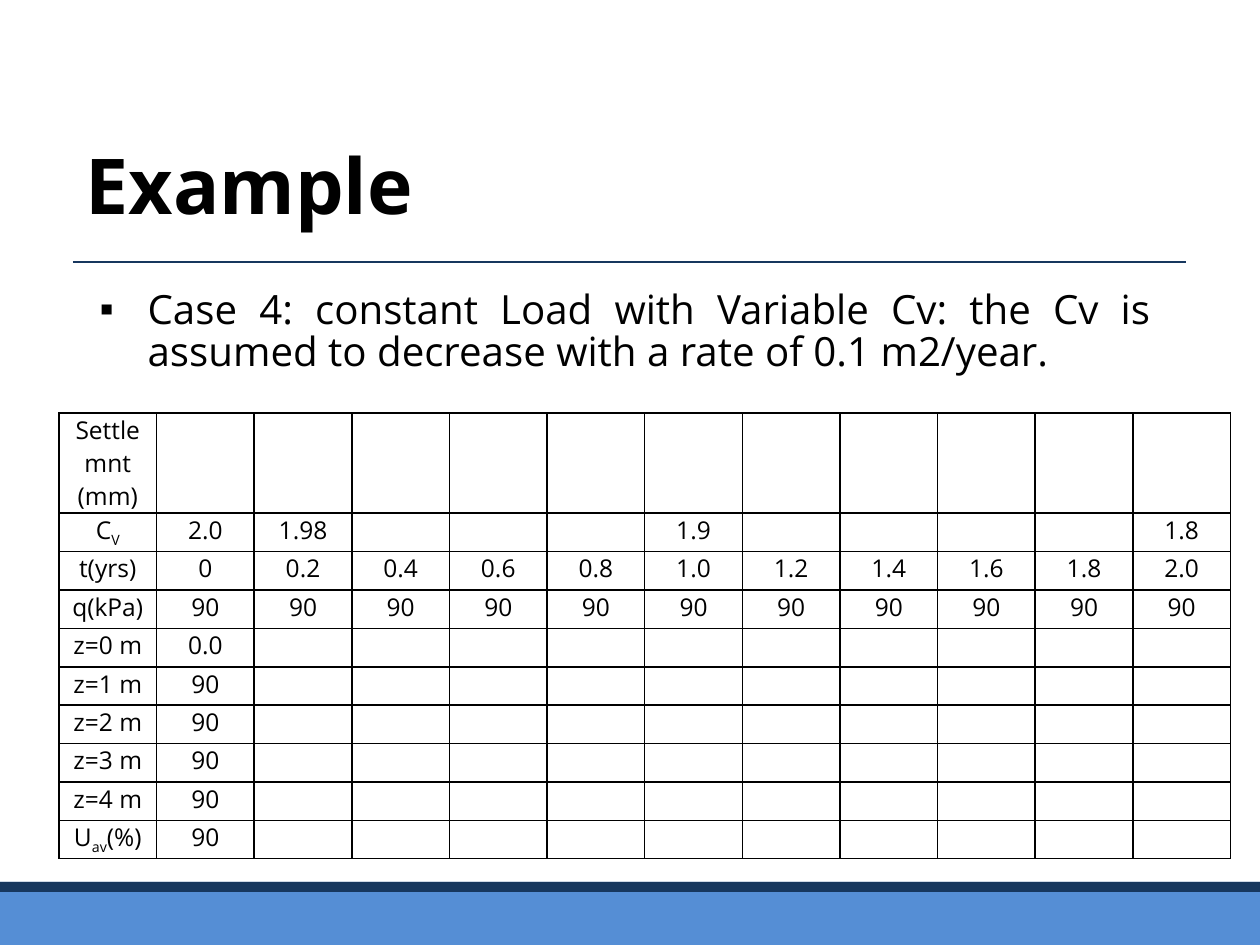
from dataclasses import dataclass

from lxml.etree import SubElement
from pptx import Presentation
from pptx.dml.color import RGBColor
from pptx.enum.shapes import MSO_CONNECTOR, MSO_SHAPE
from pptx.enum.text import MSO_ANCHOR, MSO_AUTO_SIZE, PP_ALIGN
from pptx.oxml.ns import qn
from pptx.util import Inches, Pt

SCALE = Inches(1) // 126


@dataclass(frozen=True)
class Theme:
    face: str = "Open Sans"
    ink: str = "000000"
    paper: str = "FFFFFF"
    navy: str = "17375E"
    blue: str = "558ED5"
    head: int = 44
    body: int = 23
    cell: int = 14


class Deck:
    """Holds the theme and the current slide, and adds elements to it."""

    def __init__(self, theme):
        self.theme = theme
        self.show = Presentation()
        self.show.slide_width, self.show.slide_height = self.px(1260, 945)
        self.slide = self.show.slides.add_slide(self.show.slide_layouts[1])

    def px(self, *sizes):
        return [size * SCALE for size in sizes]

    def tint(self, fill, color):
        fill.solid()
        fill.fore_color.rgb = RGBColor.from_string(color)

    def style(self, para, size, align, bold=False):
        para.alignment = align
        font = para.font
        font.name, font.size, font.bold = self.theme.face, Pt(size), bold
        font.color.rgb = RGBColor.from_string(self.theme.ink)

    def place(self, shape, box, text, anchor):
        shape.left, shape.top, shape.width, shape.height = self.px(*box)
        frame = shape.text_frame
        frame.text = text
        frame.word_wrap = True
        frame.auto_size = MSO_AUTO_SIZE.NONE
        frame.vertical_anchor = anchor
        return frame.paragraphs[0]

    def title(self, text, box):
        para = self.place(self.slide.shapes.title, box, text, MSO_ANCHOR.MIDDLE)
        self.style(para, self.theme.head, PP_ALIGN.LEFT, True)

    def bullet(self, text, box):
        para = self.place(self.slide.placeholders[1], box, text, MSO_ANCHOR.TOP)
        para.space_before = Pt(4)
        para.line_spacing = 0.88
        self.style(para, self.theme.body, PP_ALIGN.JUSTIFY)
        props = para._p.get_or_add_pPr()
        indent = self.px(48)[0]
        props.set("marL", str(indent))
        props.set("indent", str(-indent))
        mark = props.makeelement(qn("a:buChar"), {"char": "▪"})
        props.find(qn("a:defRPr")).addprevious(mark)

    def rule(self, left, right, top):
        line = self.slide.shapes.add_connector(
            MSO_CONNECTOR.STRAIGHT, *self.px(left, top, right, top))
        line.line.width = Pt(0.75)
        self.tint(line.line.fill, self.theme.navy)
        SubElement(line._element.spPr, qn("a:effectLst"))

    def band(self, box, color):
        shape = self.slide.shapes.add_shape(MSO_SHAPE.RECTANGLE, *self.px(*box))
        shape.shadow.inherit = False
        shape.line.fill.background()
        self.tint(shape.fill, color)

    def border(self, cell):
        props = cell._tc.get_or_add_tcPr()
        for spot, side in enumerate(("lnL", "lnR", "lnT", "lnB")):
            line = props.makeelement(qn("a:" + side), {"w": str(Pt(1))})
            fill = SubElement(line, qn("a:solidFill"))
            SubElement(fill, qn("a:srgbClr"), val=self.theme.ink)
            props.insert(spot, line)

    def fill(self, cell, text):
        cell.margin_left = cell.margin_right = self.px(6)[0]
        cell.margin_top = cell.margin_bottom = 0
        self.tint(cell.fill, self.theme.paper)
        self.border(cell)
        frame = cell.text_frame
        for spot, row in enumerate(text.split("\n")):
            para = frame.add_paragraph() if spot else frame.paragraphs[0]
            self.style(para, self.theme.cell, PP_ALIGN.CENTER)
            for turn, part in enumerate(row.split("|")):
                if part:
                    run = para.add_run()
                    run.text = part
                    if turn % 2:
                        run.font._element.set("baseline", "-25000")
            if not row:
                end = para._p.get_or_add_endParaRPr()
                end.set("sz", str(self.theme.cell * 100))

    def table(self, rows, box, top):
        wide = len(rows[0])
        left, up, width, height = self.px(*box)
        first = self.px(top)[0]
        table = self.slide.shapes.add_table(
            len(rows), wide, left, up, width, height).table
        table.first_row = table.horz_banding = False
        for col in table.columns:
            col.width = width // wide
        for spot, row in enumerate(rows):
            rest = (height - first) // (len(rows) - 1)
            table.rows[spot].height = rest if spot else first
            for col, text in enumerate(row):
                self.fill(table.cell(spot, col), text)


def main():
    theme = Theme()
    deck = Deck(theme)
    deck.title("Example", (73, 105, 1134, 157))
    deck.bullet("Case 4: constant Load with Variable Cv: the Cv is assumed "
                "to decrease with a rate of 0.1 m2/year.",
                (87, 284, 1078, 252))
    deck.rule(73, 1186, 262)
    deck.band((0, 882, 1260, 63), theme.blue)
    deck.band((0, 882, 1260, 10), theme.navy)

    steps = 11
    known = {0: "2.0", 1: "1.98", 5: "1.9", 10: "1.8"}
    times = ["0"] + [f"{step / 5:.1f}" for step in range(1, steps)]
    blank = [""] * (steps - 1)
    rows = [
        ["Settlemnt\n(mm)", "", *blank],
        ["C|V", *(known.get(step, "") for step in range(steps))],
        ["t(yrs)", *times],
        ["q(kPa)", *["90"] * steps],
        ["z=0 m", "0.0", *blank],
        *([f"z={depth} m", "90", *blank] for depth in range(1, 5)),
        ["U|av|(%)", "90", *blank],
    ]
    deck.table(rows, (59, 413, 1172, 446), 100)
    deck.show.save("out.pptx")


if __name__ == "__main__":
    main()
